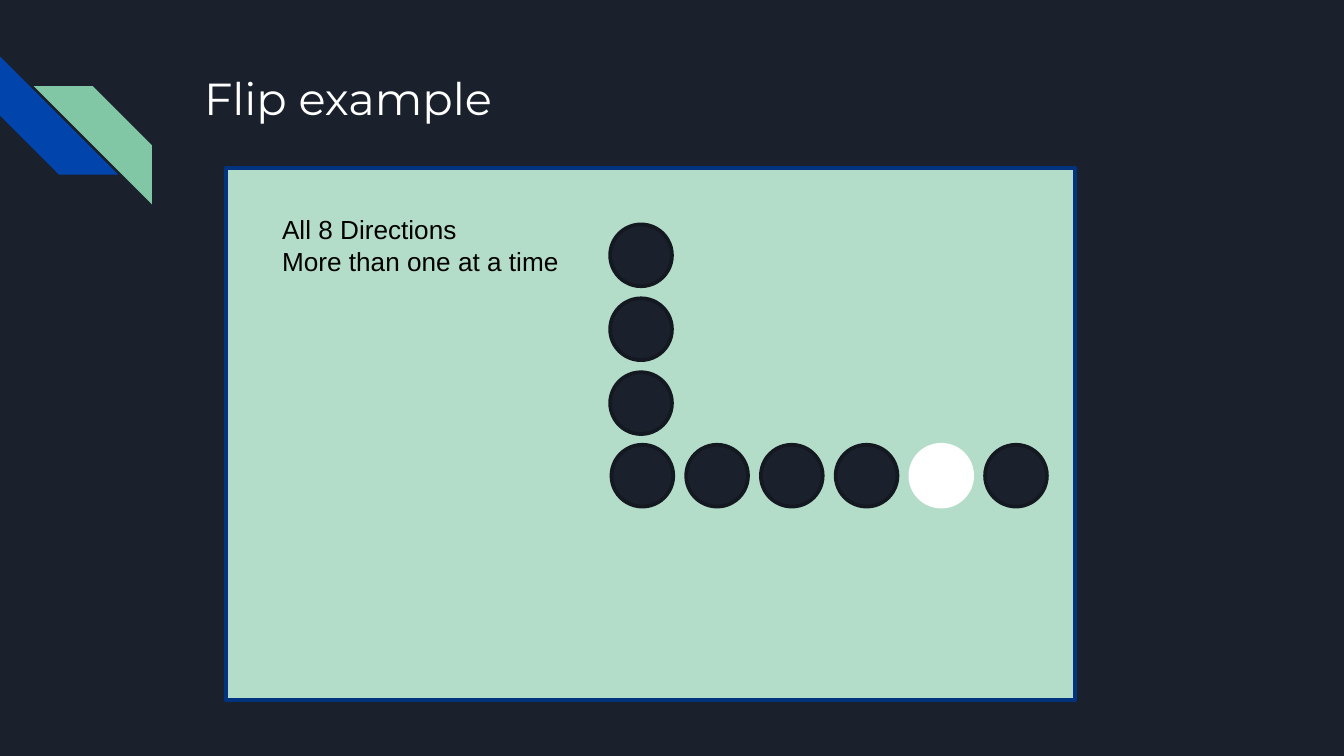
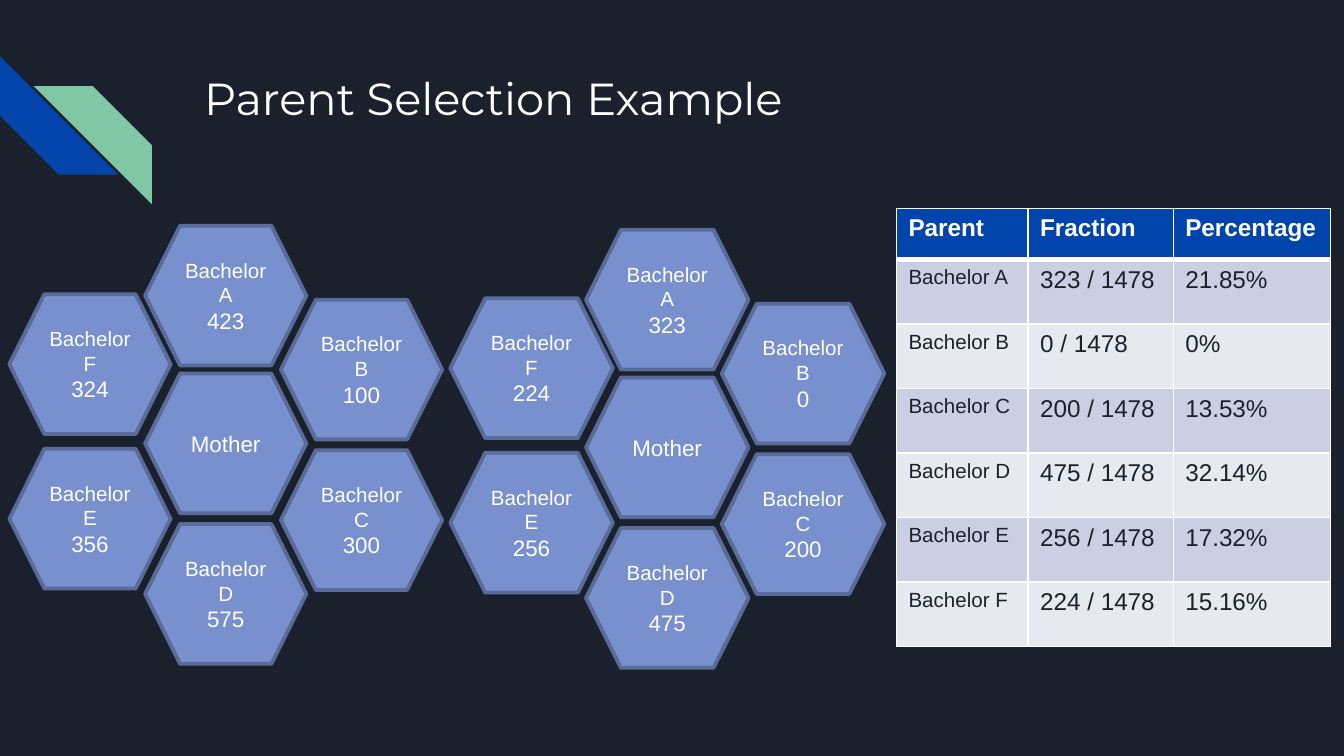
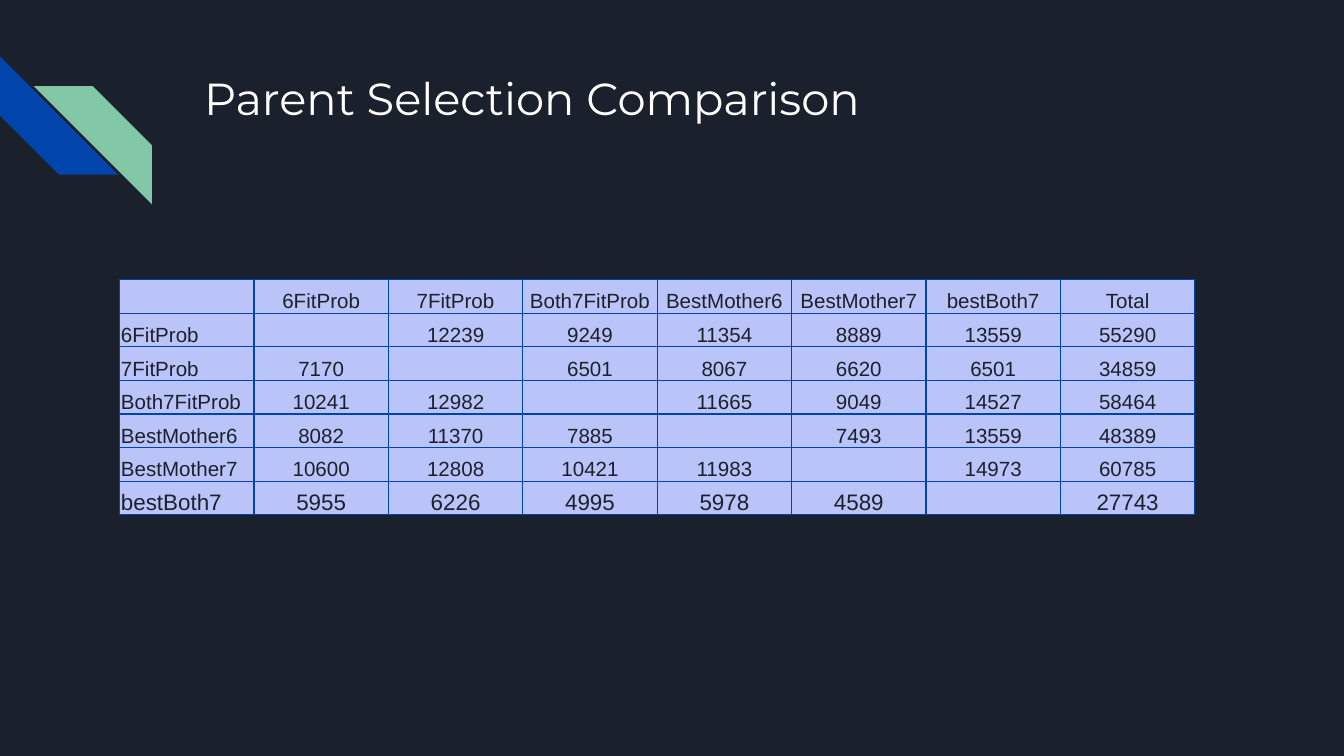
from dataclasses import dataclass
from typing import Any, NamedTuple

import lxml.etree
import pptx
import pptx.dml.color
import pptx.enum.shapes
import pptx.enum.text
import pptx.oxml.ns
import pptx.util

Inches = pptx.util.Inches
Pt = pptx.util.Pt
Shape = pptx.enum.shapes.MSO_SHAPE
Align = pptx.enum.text.PP_ALIGN
Anchor = pptx.enum.text.MSO_ANCHOR

COLORS = {
    "night": "1B212C",
    "rim": "141821",
    "white": "FFFFFF",
    "black": "000000",
    "blue": "0145AC",
    "navy": "01337F",
    "green": "82C7A5",
    "mint": "B4DDC9",
    "hex": "7890CD",
    "edge": "596B98",
    "band": "CCCFE3",
    "pale": "E7E9F1",
    "lilac": "BAC4F8",
    "rule": "0043A9",
}


class Box(NamedTuple):
    left: float
    top: float
    width: float
    height: float

    def lengths(self) -> list[int]:
        return [Inches(side) for side in self]


class Font(NamedTuple):
    size: float
    color: str
    face: str = "Arial"
    bold: bool = False


@dataclass
class Hive:
    """A mother cell with six suitors around it."""
    left: float
    top: float
    width: float
    scores: dict[str, int]
    broken: bool  # letter set on its own line by a line break


@dataclass
class Cell:
    text: str
    font: Font
    fill: str
    align: Any = Align.LEFT
    top: float = 1
    base: float = 1


@dataclass
class Grid:
    left: float
    top: float
    widths: list[float]
    heights: list[float]
    rule: str
    insets: tuple[float, float, float, float]
    anchor: Any
    rows: list[list[Cell]]


TITLE = Font(24, "white", "Montserrat")
NOTE = Font(14, "black")
NAME = Font(11, "white")
SCORE = Font(12, "white")
HEAD = Font(13, "white", bold=True)
SMALL = Font(11, "night")
LARGE = Font(13, "night")
LAST = Font(12, "night")

DISC = 0.46
HEX_HEIGHT = 1.04
RING = {
    "E": (-1.01, 0.56),
    "F": (-1.01, -0.59),
    "A": (0, -1.1),
    "B": (1.01, -0.55),
    "D": (0, 1.12),
    "C": (1.01, 0.57),
}
HIVES = [
    Hive(1.08, 2.78, 1.2, dict(A=423, B=100, C=300, D=575, E=356, F=324), True),
    Hive(4.36, 2.81, 1.21, dict(A=323, B=0, C=200, D=475, E=256, F=224), False),
]
SHARES = [
    ("A", "323", "21.85%"),
    ("B", "0", "0%"),
    ("C", "200", "13.53%"),
    ("D", "475", "32.14%"),
    ("E", "256", "17.32%"),
    ("F", "224", "15.16%"),
]
MATCHES = [
    ["", "6FitProb", "7FitProb", "Both7FitProb", "BestMother6", "BestMother7", "bestBoth7", "Total"],
    ["6FitProb", "", "12239", "9249", "11354", "8889", "13559", "55290"],
    ["7FitProb", "7170", "", "6501", "8067", "6620", "6501", "34859"],
    ["Both7FitProb", "10241", "12982", "", "11665", "9049", "14527", "58464"],
    ["BestMother6", "8082", "11370", "7885", "", "7493", "13559", "48389"],
    ["BestMother7", "10600", "12808", "10421", "11983", "", "14973", "60785"],
    ["bestBoth7", "5955", "6226", "4995", "5978", "4589", "", "27743"],
]


def rgb(color: str) -> pptx.dml.color.RGBColor:
    return pptx.dml.color.RGBColor.from_string(COLORS[color])


def add_run(para: Any, text: str, font: Font) -> None:
    run = para.add_run()
    run.text = text
    run.font.size = Pt(font.size)
    run.font.name = font.face
    run.font.bold = font.bold
    run.font.color.rgb = rgb(font.color)


def add_form(shapes: Any, kind: Any, box: Box, fill: str, line: str = "") -> Any:
    """Draw a flat preset shape, with a 2 pt outline if a line colour is given."""
    form = shapes.add_shape(kind, *box.lengths())
    form.shadow.inherit = False
    form.fill.solid()
    form.fill.fore_color.rgb = rgb(fill)
    if line:
        form.line.color.rgb = rgb(line)
        form.line.width = Pt(2)
    else:
        form.line.fill.background()
    return form


def add_text(shapes: Any, box: Box, lines: list[str], font: Font, inset: float = 0.1) -> None:
    frame = shapes.add_textbox(*box.lengths()).text_frame
    frame.word_wrap = True
    frame.margin_top = frame.margin_bottom = Inches(inset)
    for index, line in enumerate(lines):
        para = frame.add_paragraph() if index else frame.paragraphs[0]
        add_run(para, line, font)


def add_slide(deck: Any, title: str) -> Any:
    """Add a slide with the corner stripes and its title."""
    shapes = deck.slides.add_slide(deck.slide_layouts[6]).shapes
    stripes = shapes.add_group_shape().shapes
    for left, top, turn, fill in ((0, 0.42, 270, "blue"), (0.25, 0.64, 90, "green")):
        stripe = add_form(stripes, Shape.DIAGONAL_STRIPE, Box(left, top, 0.88, 0.88), fill)
        stripe.rotation = turn
    add_text(shapes, Box(1.42, 0.43, 7.7, 1), [title], TITLE)
    return shapes


def add_disc(shapes: Any, left: float, top: float, white: bool = False) -> None:
    fill, line = ("white", "white") if white else ("night", "rim")
    add_form(shapes, Shape.OVAL, Box(left, top, DISC, DISC), fill, line)


def add_hex(shapes: Any, box: Box) -> Any:
    """Draw an empty hexagon and return its text frame."""
    frame = add_form(shapes, Shape.HEXAGON, box, "hex", "edge").text_frame
    frame.word_wrap = True
    frame.vertical_anchor = Anchor.MIDDLE
    frame.paragraphs[0].alignment = Align.CENTER
    return frame


def add_hive(shapes: Any, hive: Hive) -> None:
    cells = shapes.add_group_shape().shapes
    for key, (across, down) in RING.items():
        box = Box(hive.left + across, hive.top + down, hive.width, HEX_HEIGHT)
        frame = add_hex(cells, box)
        name = frame.paragraphs[0]
        if hive.broken:
            add_run(name, "Bachelor", NAME)
            name.add_line_break()
            add_run(name, key, NAME)
        else:
            add_run(name, f"Bachelor {key}", NAME)
        score = frame.add_paragraph()
        score.alignment = Align.CENTER
        add_run(score, str(hive.scores[key]), SCORE)
    mother = add_hex(cells, Box(hive.left, hive.top, hive.width, HEX_HEIGHT))
    add_run(mother.paragraphs[0], "Mother", SCORE)


def add_edge(cell: Any, side: str, color: str, width: float) -> None:
    qn = pptx.oxml.ns.qn
    props = cell._tc.get_or_add_tcPr()
    edge = lxml.etree.SubElement(props, qn(f"a:ln{side}"), w=str(Pt(width)))
    fill = lxml.etree.SubElement(edge, qn("a:solidFill"))
    lxml.etree.SubElement(fill, qn("a:srgbClr"), val=COLORS[color])


def fill_cell(spot: Any, cell: Cell, grid: Grid, scale: float) -> None:
    for side, width in (("L", 1), ("R", 1), ("T", cell.top), ("B", cell.base)):
        add_edge(spot, side, grid.rule, width * scale)
    spot.fill.solid()
    spot.fill.fore_color.rgb = rgb(cell.fill)
    spot.vertical_anchor = grid.anchor
    left, top, right, base = (Inches(inset) for inset in grid.insets)
    spot.margin_left, spot.margin_top = left, top
    spot.margin_right, spot.margin_bottom = right, base
    para = spot.text_frame.paragraphs[0]
    para.alignment = cell.align
    if cell.text:
        add_run(para, cell.text, cell.font)
    else:
        para._p.get_or_add_endParaRPr().set("sz", str(cell.font.size * 100))


def add_grid(shapes: Any, grid: Grid, scale: float = 1) -> None:
    box = Box(grid.left, grid.top, sum(grid.widths), sum(grid.heights))
    table = shapes.add_table(len(grid.heights), len(grid.widths), *box.lengths()).table
    table.first_row = table.horz_banding = False
    for column, width in zip(table.columns, grid.widths):
        column.width = Inches(width)
    for row, height in zip(table.rows, grid.heights):
        row.height = Inches(height)
    for down, cells in enumerate(grid.rows):
        for across, cell in enumerate(cells):
            fill_cell(table.cell(down, across), cell, grid, scale)


def draw_flip(deck: Any) -> None:
    shapes = add_slide(deck, "Flip example")
    add_form(shapes, Shape.RECTANGLE, Box(1.68, 1.25, 6.32, 3.96), "mint", "navy")
    for step in range(3):
        add_disc(shapes, 4.54, 1.67 + 0.55 * step)
    for step in range(6):
        add_disc(shapes, 4.55 + 2.78 / 5 * step, 3.31, white=step == 4)
    lines = ["All 8 Directions", "More than one at a time"]
    add_text(shapes, Box(2, 1.54, 2.28, 0.57), lines, NOTE, 0.05)


def draw_choice(deck: Any) -> None:
    shapes = add_slide(deck, "Parent Selection Example")
    for hive in HIVES:
        add_hive(shapes, hive)
    heads = ("Parent", "Fraction", "Percentage")
    rows = [[Cell(head, HEAD, "blue", base=3) for head in heads]]
    for index, (key, part, share) in enumerate(SHARES):
        fill = "pale" if index % 2 else "band"
        top = 1 if index else 3
        rows.append([
            Cell(f"Bachelor {key}", SMALL, fill, top=top),
            Cell(f"{part} / 1478", LARGE, fill, top=top),
            Cell(share, LARGE, fill, top=top),
        ])
    add_grid(shapes, Grid(
        6.67, 1.55, [0.98, 1.08, 1.17], [0.38] + [0.48] * 6, "white",
        (0.09, 0.05, 0.09, 0.05), Anchor.TOP, rows,
    ))


def draw_match(deck: Any) -> None:
    shapes = add_slide(deck, "Parent Selection Comparison")
    rows = []
    for texts in MATCHES:
        font = LAST if texts is MATCHES[-1] else SMALL
        rows.append([
            Cell(text, font, "lilac", Align.CENTER if across else Align.LEFT)
            for across, text in enumerate(texts)
        ])
    add_grid(shapes, Grid(
        0.89, 2.08, [1] * 8, [0.25] * 7, "rule",
        (0.01, 0.01, 0.01, 0), Anchor.BOTTOM, rows,
    ), scale=0.75)


def main() -> None:
    deck = pptx.Presentation()
    deck.slide_width = Inches(10)
    deck.slide_height = Inches(10 * 9 / 16)
    ground = deck.slide_master.background.fill
    ground.solid()
    ground.fore_color.rgb = rgb("night")
    draw_flip(deck)
    draw_choice(deck)
    draw_match(deck)
    deck.save("out.pptx")


if __name__ == "__main__":
    main()
